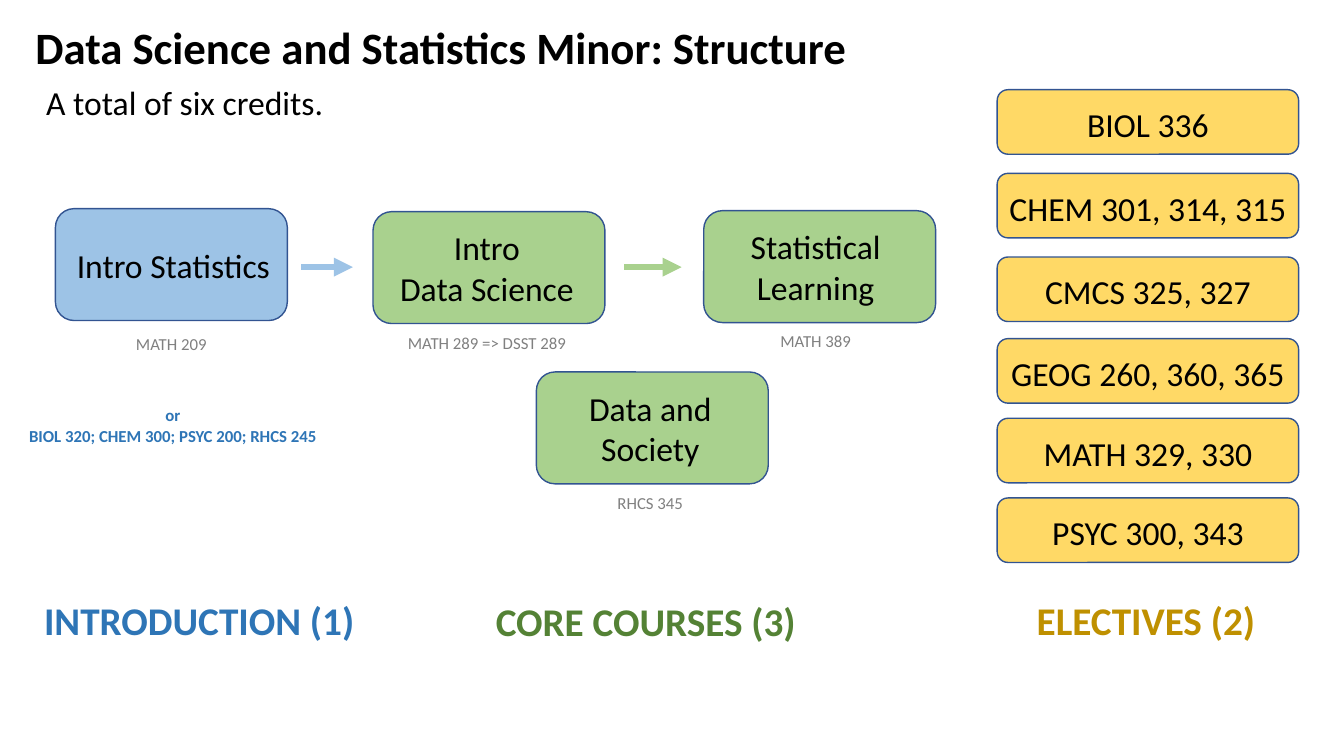
import pptx
import pptx.util
import pptx.dml.color
import pptx.enum.shapes
import pptx.enum.text
import pptx.oxml
import pptx.oxml.ns

Inches = pptx.util.Inches
PP_ALIGN = pptx.enum.text.PP_ALIGN
MSO_ANCHOR = pptx.enum.text.MSO_ANCHOR

COLORS = {
    "black": "000000", "gray": "808080", "outline": "325491",
    "intro": "9DC3E6", "core": "A9D18E", "elective": "FFD966",
    "intro_text": "2E75B6", "core_text": "548235", "elective_text": "BF9000",
}
COURSE_W, COURSE_H = 2.3, 1.11
ELECTIVE_W, ELECTIVE_H = 2.99, 0.64


def rgb(name):
    return pptx.dml.color.RGBColor.from_string(COLORS[name])


def write(tf, lines, size, color="black", bold=False, align=PP_ALIGN.CENTER,
          anchor=MSO_ANCHOR.TOP, **margins):
    frame = {"word_wrap": True, "vertical_anchor": anchor,
             "auto_size": pptx.enum.text.MSO_AUTO_SIZE.NONE}
    for key, value in frame.items():
        setattr(tf, key, value)
    for side, value in margins.items():
        setattr(tf, "margin_" + side, Inches(value))
    for i, line in enumerate(lines):
        p = tf.paragraphs[0] if i == 0 else tf.add_paragraph()
        p.alignment = align
        r = p.add_run()
        r.text = line
        font = {"name": "Calibri", "size": pptx.util.Pt(size), "bold": bold}
        for key, value in font.items():
            setattr(r.font, key, value)
        r.font.color.rgb = rgb(color)


def add_label(s, box, lines, size, **style):
    tb = s.shapes.add_textbox(*map(Inches, box))
    write(tb.text_frame, lines, size, **style)


def add_box(s, box, fill, lines, **margins):
    sp = s.shapes.add_shape(pptx.enum.shapes.MSO_SHAPE.ROUNDED_RECTANGLE, *map(Inches, box))
    sp.shadow.inherit = False
    sp.fill.solid()
    sp.fill.fore_color.rgb = rgb(fill)
    sp.line.color.rgb = rgb("outline")
    sp.line.width = pptx.util.Pt(1)
    write(sp.text_frame, lines, 24, anchor=MSO_ANCHOR.MIDDLE, **margins)


def add_arrow(s, x1, x2, y, color):
    cx = s.shapes.add_connector(pptx.enum.shapes.MSO_CONNECTOR.STRAIGHT,
                                Inches(x1), Inches(y), Inches(x2), Inches(y))
    cx.line.color.rgb = rgb(color)
    cx.line.width = pptx.util.Pt(4.5)
    ns = pptx.oxml.ns.nsdecls("a")
    cx.line._get_or_add_ln().append(pptx.oxml.parse_xml(f'<a:tailEnd {ns} type="triangle"/>'))
    cx._element.spPr.append(pptx.oxml.parse_xml(f"<a:effectLst {ns}/>"))


def add_heading(s, x, y):
    title = s.shapes.title
    place = {"left": x, "top": y, "width": 8.82, "height": 0.64}
    for key, value in place.items():
        setattr(title, key, Inches(value))
    write(title.text_frame, ["Data Science and Statistics Minor: Structure"], 32,
          bold=True, align=PP_ALIGN.LEFT)
    add_label(s, (x + 0.11, y + 0.61, 3.19, 0.5), ["A total of six credits."], 24,
              align=PP_ALIGN.LEFT)


def add_course(s, x, y, fill, lines, code, code_y, shift):
    add_box(s, (x, y, COURSE_W, COURSE_H), fill, lines, left=0.1 + shift, right=0.1 - shift)
    code_x = x + min(shift, 0)
    add_label(s, (code_x, code_y, COURSE_W, 0.3), [code], 12, color="gray")


def add_introduction(s, x, y):
    add_course(s, x + 0.3, y, "intro", ["Intro Statistics"], "MATH 209", y + 1.19, 0.02)
    add_label(s, (x - 0.13, y + 1.9, 3.19, 0.5),
              ["or", "BIOL 320; CHEM 300; PSYC 200; RHCS 245"], 12,
              color="intro_text", bold=True)
    add_arrow(s, x + 2.74, x + 3.25, y + 0.58, "intro")
    add_label(s, (x, y + 3.8, 3.45, 0.57), ["INTRODUCTION (1)"], 28,
              color="intro_text", bold=True)


def add_core(s, x, y):
    courses = [
        (0, 0.01, ["Intro", "Data Science"], "MATH 289 => DSST 289", 1.16, -0.02),
        (3.28, 0, ["Statistical Learning"], "MATH 389", 1.14, -0.04),
        (1.62, 1.6, ["Data and Society"], "RHCS 345", 2.75, -0.02),
    ]
    for dx, dy, lines, code, code_dy, shift in courses:
        add_course(s, x + dx, y + dy, "core", lines, code, y + code_dy, shift)
    add_arrow(s, x + 2.49, x + 3.06, y + 0.56, "core")
    add_label(s, (x + 0.72, y + 3.79, 3.97, 0.57), ["CORE COURSES (3)"], 28,
              color="core_text", bold=True)


def add_electives(s, x, y):
    electives = [(0, "BIOL 336"), (0.83, "CHEM 301, 314, 315"), (1.66, "CMCS 325, 327"),
                 (2.47, "GEOG 260, 360, 365"), (3.26, "MATH 329, 330"),
                 (4.05, "PSYC 300, 343")]
    for dy, courses in electives:
        add_box(s, (x, y + dy, ELECTIVE_W, ELECTIVE_H), "elective", [courses],
                left=0, right=0, top=0.09, bottom=0.05)
    add_label(s, (x - 0.25, y + 4.98, 3.45, 0.57), ["ELECTIVES (2)"], 28,
              color="elective_text", bold=True)


def main():
    prs = pptx.Presentation()
    prs.slide_width, prs.slide_height = Inches(13.33), Inches(7.5)
    s = prs.slides.add_slide(prs.slide_layouts[5])
    add_heading(s, 0.25, 0.15)
    add_introduction(s, 0.25, 2.07)
    add_core(s, 3.7, 2.09)
    add_electives(s, 9.89, 0.89)
    prs.save("out.pptx")


if __name__ == "__main__":
    main()
